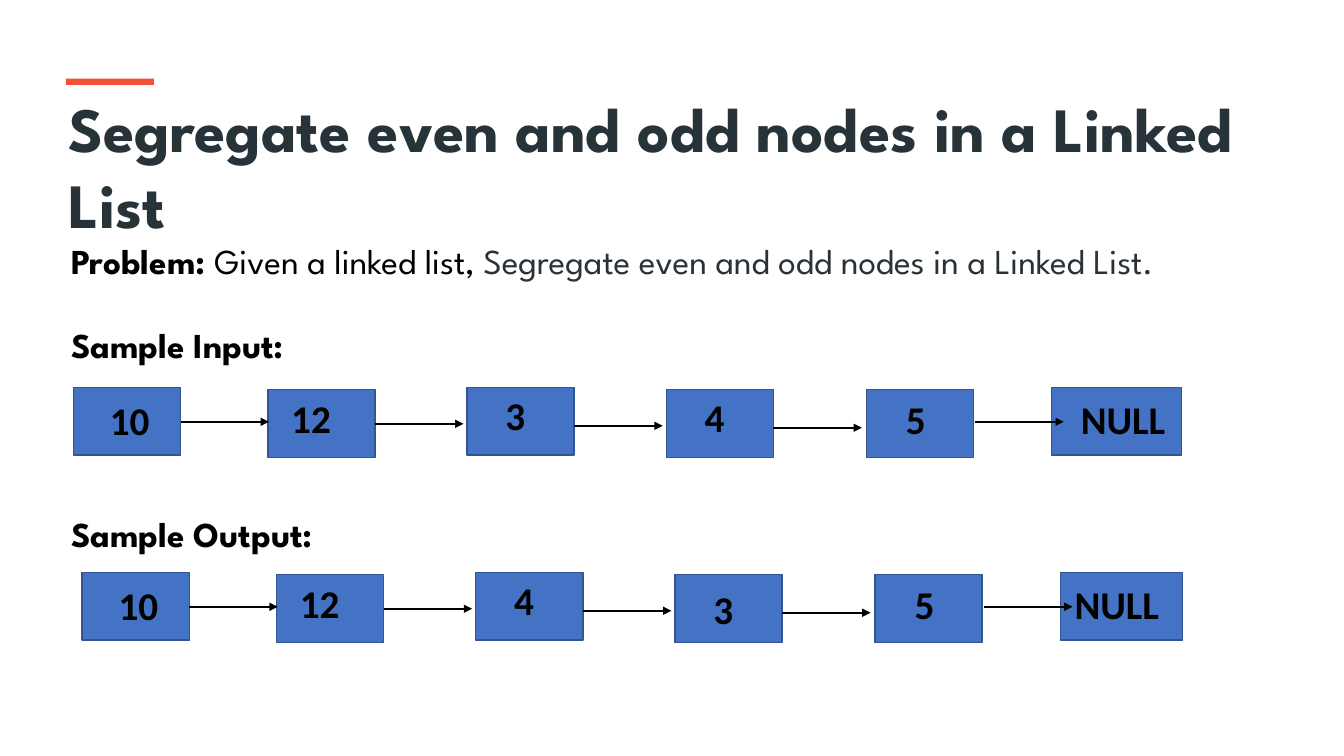
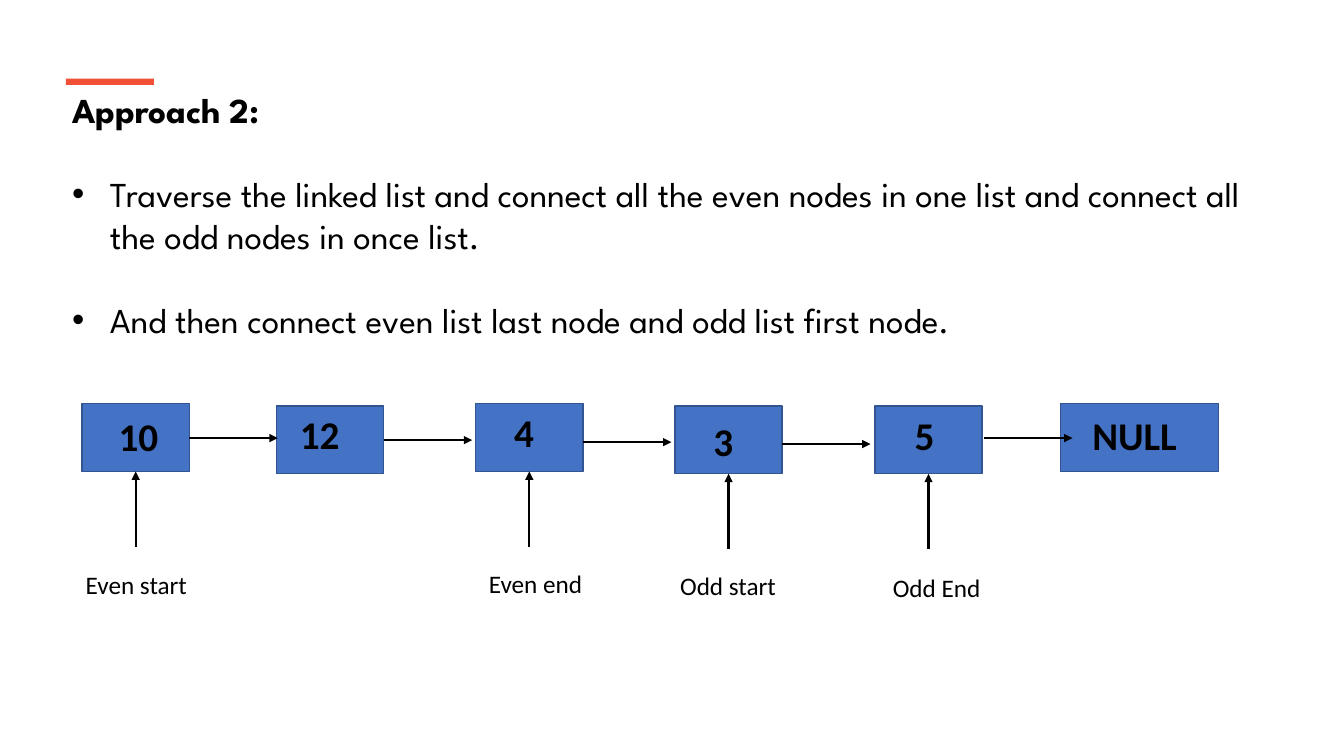
from lxml.etree import SubElement
from pptx import Presentation
from pptx.dml.color import RGBColor
from pptx.enum.shapes import MSO_CONNECTOR, MSO_SHAPE
from pptx.enum.text import MSO_ANCHOR, PP_ALIGN
from pptx.oxml.ns import qn
from pptx.util import Cm, Pt

HEADING_FONT, NODE_FONT = "League Spartan", "Calibri"
INK, SLATE, ACCENT = "000000", "273239", "F05136"
NODE_FILL, NODE_EDGE = "4472C4", "325491"
NODE_WIDTH, NODE_HEIGHT = 2.7, 1.71
color = RGBColor.from_string


def write(shape, text, *, size=25, font=HEADING_FONT, ink=INK, bold=False,
          gap=0, bullet=False, same_line=False):
    """Add a paragraph to the shape, or a run to its last paragraph."""
    frame = shape.text_frame
    frame.word_wrap = True
    paragraph = frame.paragraphs[-1]
    if paragraph.runs and not same_line:
        paragraph = frame.add_paragraph()
    if not same_line:
        paragraph.alignment = PP_ALIGN.LEFT
    if gap:
        paragraph.space_before = Pt(gap)
    if bullet:
        properties = paragraph._p.get_or_add_pPr()
        properties.set("marL", str(Cm(0.95)))
        properties.set("indent", str(-Cm(0.95)))
        SubElement(properties, qn("a:buFont")).set("typeface", "Arial")
        SubElement(properties, qn("a:buChar")).set("char", "•")
    run = paragraph.add_run()
    run.text = text
    run.font.size, run.font.name, run.font.bold = Pt(size), font, bold
    run.font.color.rgb = color(ink)


def add_arrow(slide, x1, y1, x2, y2):
    arrow = slide.shapes.add_connector(
        MSO_CONNECTOR.STRAIGHT, Cm(x1), Cm(y1), Cm(x2), Cm(y2))
    arrow.line.color.rgb = color(INK)
    arrow.line.width = Pt(1.5)
    SubElement(arrow.line._get_or_add_ln(), qn("a:tailEnd")).set("type", "triangle")
    SubElement(arrow._element.spPr, qn("a:effectLst"))


presentation = Presentation()
presentation.slide_width, presentation.slide_height = Cm(33.87), Cm(19.05)

# Both slides carry the accent bar
problem, approach = [
    presentation.slides.add_slide(presentation.slide_layouts[6]) for _ in range(2)]
for slide in (problem, approach):
    accent = slide.shapes.add_shape(
        MSO_SHAPE.RECTANGLE, Cm(1.66), Cm(1.98), Cm(2.22), Cm(0.16))
    accent.shadow.inherit = False
    accent.fill.solid()
    accent.fill.fore_color.rgb = color(ACCENT)
    accent.line.fill.background()

# Problem statement
title = problem.shapes.add_textbox(Cm(1.47), Cm(2.13), Cm(30.94), Cm(4.11))
write(title, "Segregate even and odd nodes in a Linked List",
      size=45, ink=SLATE, bold=True)
statement = problem.shapes.add_textbox(Cm(1.55), Cm(5.92), Cm(30.84), Cm(9.75))
write(statement, "Problem: ", bold=True)
write(statement, "Given a linked list,", same_line=True)
write(statement, " Segregate even and odd nodes in a Linked List.",
      ink=SLATE, same_line=True)
write(statement, "Sample Input:", bold=True, gap=30)
write(statement, "Sample Output:", bold=True, gap=105)

# Approach
steps = approach.shapes.add_textbox(Cm(1.57), Cm(2.11), Cm(30.3), Cm(13.08))
write(steps, "Approach 2:", bold=True)
for step in (
    "Traverse the linked list and connect all the even nodes in one list "
    "and connect all the odd nodes in once list.",
    "And then connect even list last node and odd list first node.",
):
    write(steps, step, gap=30, bullet=True)

# Linked lists: offsets of each node, its label and its outgoing arrow
node_x = [0, 4.9, 9.92, 14.94, 19.98, 24.65]
node_y = [0, 0.06, 0, 0.06, 0.06, 0]
arrow_y = [0.87, 0.92, 0.97, 1.02, 0.87]
arrow_gap = [0, 0, 0, 0, 0.05]
arrow_length = 2.23

input_values = ["10", "12", "3", "4", "5", "NULL"]
output_values = ["10", "12", "4", "3", "5", "NULL"]
# slide, left, top, values, width of NULL, label inset of NULL, label drop in node 4
linked_lists = [
    (problem, 1.85, 9.76, input_values, 3.27, 0.74, 0.08),
    (problem, 2.07, 14.42, output_values, 3.08, 0.36, 0.28),
    (approach, 2.07, 10.17, output_values, 3.99, 0.81, 0.28),
]
for slide, left, top, values, null_width, null_inset, fourth_drop in linked_lists:
    widths = [NODE_WIDTH] * 5 + [null_width]
    insets = [0.92, 0.59, 0.97, 0.97, 1, null_inset]
    drops = [0.23, 0.11, 0.11, fourth_drop, 0.14, 0.2]
    for value, x, y, width, inset, drop in zip(
            values, node_x, node_y, widths, insets, drops):
        node = slide.shapes.add_shape(
            MSO_SHAPE.RECTANGLE, Cm(left + x), Cm(top + y), Cm(width), Cm(NODE_HEIGHT))
        node.shadow.inherit = False
        node.fill.solid()
        node.fill.fore_color.rgb = color(NODE_FILL)
        node.line.color.rgb = color(NODE_EDGE)
        node.line.width = Pt(1)
        label = node.text_frame
        label.vertical_anchor = MSO_ANCHOR.TOP
        label.margin_left, label.margin_top = Cm(inset), Cm(drop)
        label.margin_right = label.margin_bottom = 0
        write(node, value, size=28, font=NODE_FONT, bold=True)
    for x, y, gap in zip(node_x, arrow_y, arrow_gap):
        start = left + x + NODE_WIDTH + gap
        add_arrow(slide, start, top + y, start + arrow_length, top + y)

# Pointers below the list of the approach
_, list_left, list_top, *_ = linked_lists[-1]
pointers = [
    (0, "Even start", 1.91, 14.22),
    (2, "Even end", 12.07, 14.2),
    (3, "Odd start", 16.89, 14.25),
    (4, "Odd End", 22.25, 14.3),
]
for column, name, name_left, name_top in pointers:
    center = list_left + node_x[column] + NODE_WIDTH / 2
    node_bottom = list_top + node_y[column] + NODE_HEIGHT
    add_arrow(approach, center, node_bottom + 1.9, center, node_bottom)
    pointer = approach.shapes.add_textbox(
        Cm(name_left), Cm(name_top), Cm(3.71), Cm(1.02))
    write(pointer, name, size=18, font=NODE_FONT)

presentation.save("out.pptx")
